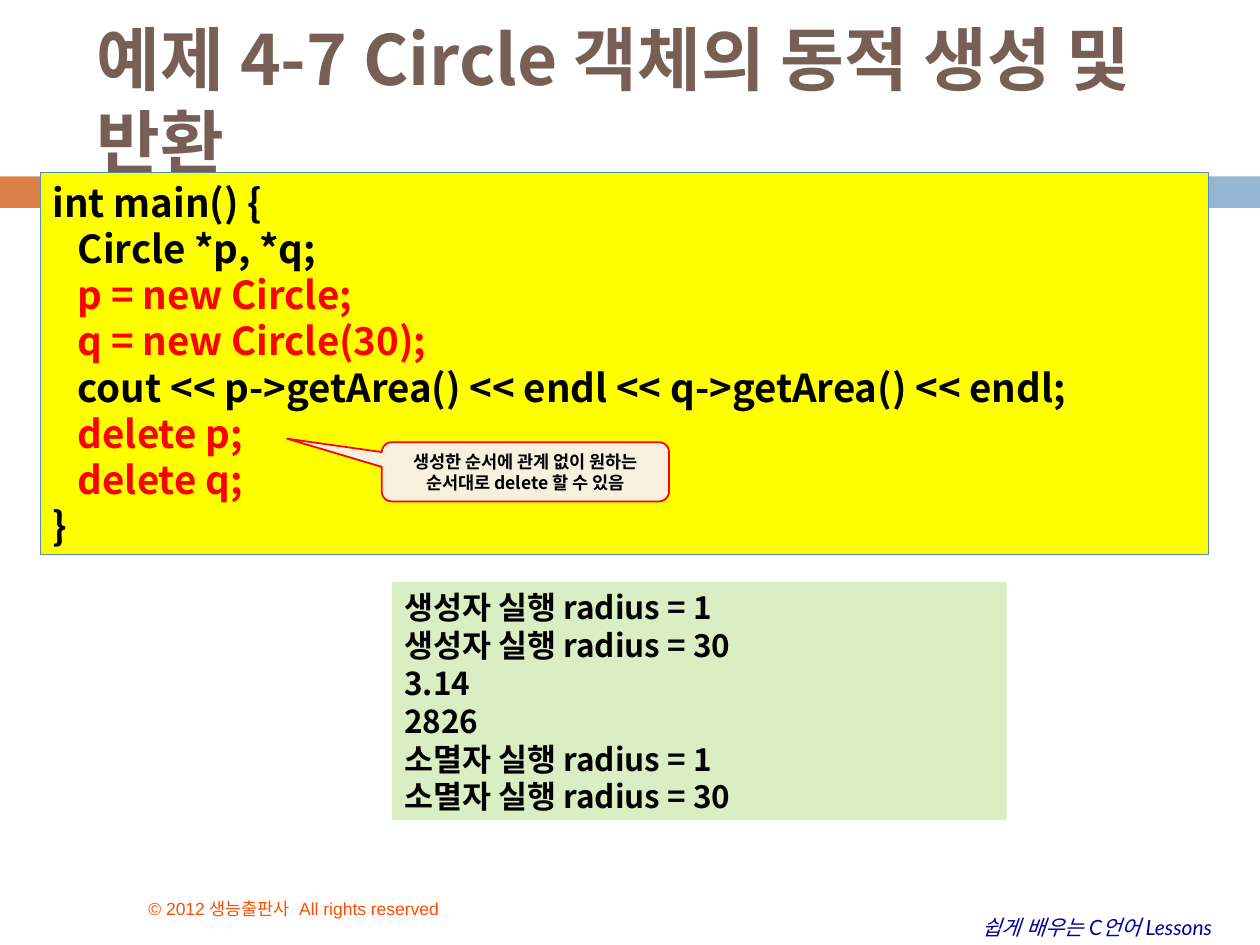
import pptx
import pptx.util
import pptx.dml.color
import pptx.enum.shapes
import pptx.enum.text
import pptx.oxml.ns
import lxml.etree

Inches = pptx.util.Inches
Pt = pptx.util.Pt
Kind = pptx.enum.shapes.MSO_SHAPE
Anchor = pptx.enum.text.MSO_ANCHOR
Align = pptx.enum.text.PP_ALIGN
qn = pptx.oxml.ns.qn

theme = {
    "color": {
        "orange": "DD8047", "blue": "94B6D2", "edge": "558BB8",
        "yellow": "FFFF00", "green": "DAEEC4", "cream": "F7F0DE",
        "black": "000000", "red": "FF0000", "brown": "775F55",
        "navy": "000099", "credit": "FF4C00",
    },
    "size": {"title": 39.6, "code": 22, "output": 18, "foot": 12, "note": 10},
    "font": {"main": "Noto Sans CJK KR", "foot": "Lato", "credit": "Arial"},
}


def paint(kind, place, fill, line=None, width=1):
    shape = slide.shapes.add_shape(kind, *map(Inches, place))
    shape.shadow.inherit = False
    shape.fill.solid()
    shape.fill.fore_color.rgb = pptx.dml.color.RGBColor.from_string(theme["color"][fill])
    if line:
        shape.line.color.rgb = pptx.dml.color.RGBColor.from_string(theme["color"][line])
        shape.line.width = Pt(width)
    else:
        shape.line.fill.background()
    return shape


def write(shape, lines, size, face="main", anchor=Anchor.TOP, align=Align.LEFT,
          wrap=True, lead=None, tab=None, **style):
    frame = shape.text_frame
    frame.word_wrap = wrap
    frame.vertical_anchor = anchor
    points = theme["size"][size]
    name = theme["font"][face]
    form = {"name": name, "size": Pt(points)} | style
    for i, (text, color) in enumerate(lines):
        para = frame.paragraphs[0] if i == 0 else frame.add_paragraph()
        para.alignment = align
        if lead:
            para.line_spacing = Pt(points * lead)
        if tab:
            props = para._p.get_or_add_pPr()
            stops = lxml.etree.SubElement(props, qn("a:tabLst"))
            lxml.etree.SubElement(stops, qn("a:tab"), pos=str(Inches(tab)), algn="l")
        run = para.add_run()
        run.text = text
        for key, value in form.items():
            setattr(run.font, key, value)
        run.font.color.rgb = pptx.dml.color.RGBColor.from_string(theme["color"][color])
        lxml.etree.SubElement(run._r.get_or_add_rPr(), qn("a:ea"), typeface=name)


deck = pptx.Presentation()
deck.slide_width = Inches(10)
deck.slide_height = Inches(7.5)
slide = deck.slides.add_slide(deck.slide_layouts[6])

paint(Kind.RECTANGLE, (0, 1.4, 0.58, 0.25), "orange")
paint(Kind.RECTANGLE, (0.65, 1.4, 9.35, 0.25), "blue")

foot = slide.shapes.add_textbox(*map(Inches, (7.7, 7.21, 2.18, 0.3)))
write(foot, [("쉽게 배우는 C언어 Lessons", "navy")], "foot", "foot",
      wrap=False, italic=True)

credit = slide.shapes.add_textbox(*map(Inches, (1.08, 6.92, 3.83, 0.42)))
write(credit, [("© 2012 생능출판사  All rights reserved", "credit")], "note", "credit",
      anchor=Anchor.BOTTOM)

title = slide.shapes.add_textbox(*map(Inches, (0.67, 0.25, 8.92, 1.08)))
write(title, [("예제 4-7 Circle 객체의 동적 생성 및 반환", "brown")], "title",
      anchor=Anchor.MIDDLE, lead=1.2, bold=True)

code = [
    ("int main() {", "black"),
    ("\tCircle *p, *q;", "black"),
    ("\tp = new Circle;", "red"),
    ("\tq = new Circle(30);", "red"),
    ("\tcout << p->getArea() << endl << q->getArea() << endl;", "black"),
    ("\tdelete p;", "red"),
    ("\tdelete q;", "red"),
    ("}", "black"),
]
panel = paint(Kind.RECTANGLE, (0.32, 1.37, 9.27, 3.03), "yellow", "edge", 0.75)
write(panel, code, "code", lead=1.2, tab=0.2, bold=True)

output = [
    "생성자 실행 radius = 1", "생성자 실행 radius = 30", "3.14", "2826",
    "소멸자 실행 radius = 1", "소멸자 실행 radius = 30",
]
result = paint(Kind.RECTANGLE, (3.11, 4.62, 4.88, 1.89), "green")
write(result, [(text, "black") for text in output], "output", lead=1.2, bold=True)

note = paint(Kind.ROUNDED_RECTANGULAR_CALLOUT, (3.03, 3.51, 2.28, 0.47), "cream", "red")
for i, value in enumerate((-0.83, -0.56, 0.17)):
    note.adjustments[i] = value
write(note, [("생성한 순서에 관계 없이 원하는 순서대로 delete 할 수 있음", "black")], "note",
      anchor=Anchor.MIDDLE, align=Align.CENTER, lead=1.2, bold=True)

deck.save("out.pptx")
